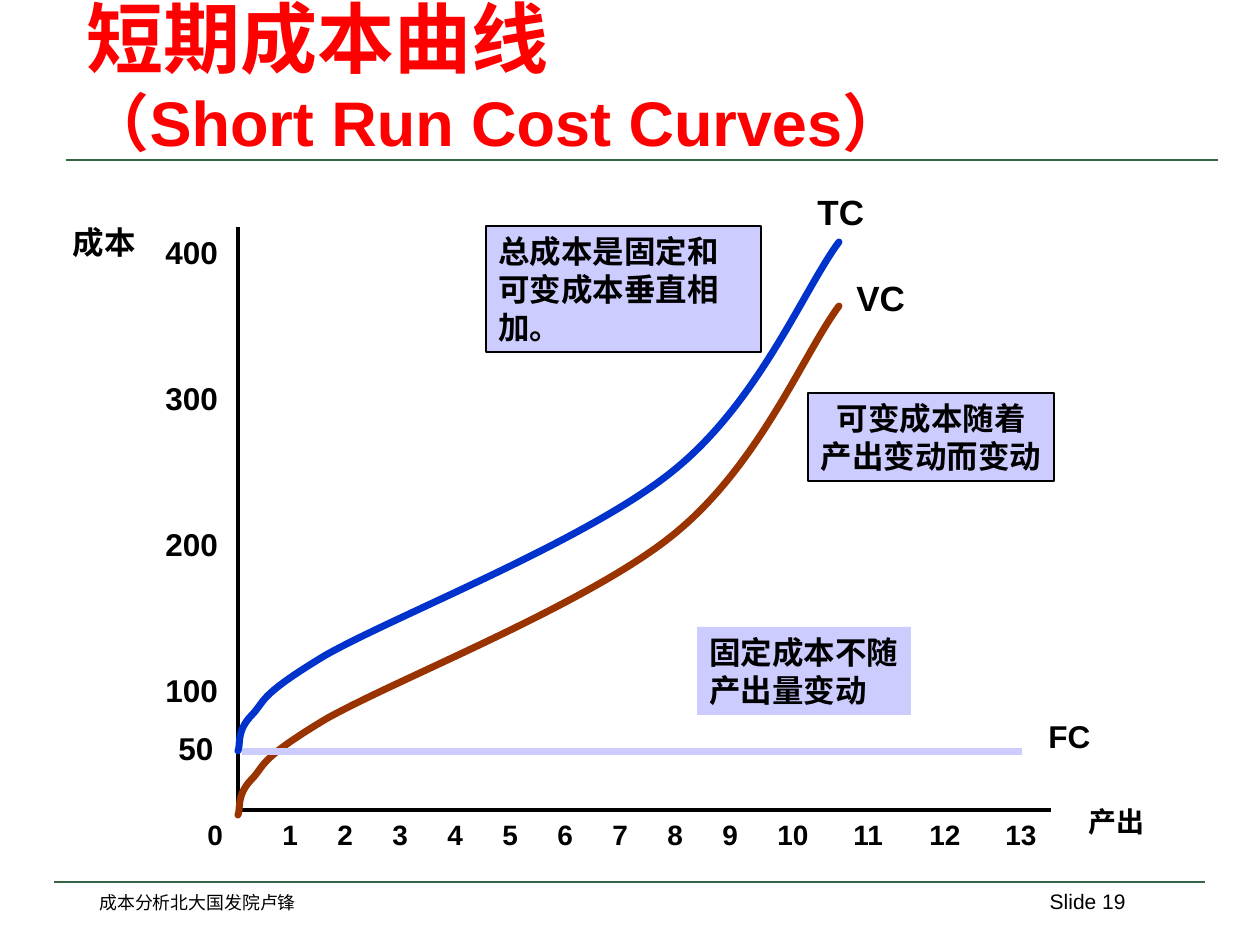
import pptx
import pptx.util
import pptx.dml.color
import pptx.enum.shapes
import pptx.enum.text
import pptx.oxml
import pptx.oxml.ns
from dataclasses import dataclass

PX = 914400 / 126
LEFT = pptx.enum.text.PP_ALIGN.LEFT
CENTER = pptx.enum.text.PP_ALIGN.CENTER
RIGHT = pptx.enum.text.PP_ALIGN.RIGHT


@dataclass
class Theme:
    font: str = "Arial"
    title: str = "FF0000"
    ink: str = "000000"
    rule: str = "376546"
    note: str = "CCCCFF"
    tc: str = "0033CC"
    vc: str = "993300"
    title_cn: int = 44
    title_en: int = 36
    curve_label: int = 20
    body: int = 18
    tick: int = 16
    page: int = 12
    footer: float = 10.2


T = Theme()


def emu(*px):
    return [pptx.util.Emu(round(v * PX)) for v in px]


def rgb(value):
    return pptx.dml.color.RGBColor.from_string(value)


def font(p, size, bold=True, color=T.ink):
    p.font.name = T.font
    p.font.size = pptx.util.Pt(size)
    p.font.bold = bold
    p.font.color.rgb = rgb(color)


def write(sp, lines, size, align=LEFT, wrap=False, bold=True):
    tf = sp.text_frame
    tf.word_wrap = wrap
    tf.auto_size = pptx.enum.text.MSO_AUTO_SIZE.SHAPE_TO_FIT_TEXT
    tf.vertical_anchor = pptx.enum.text.MSO_ANCHOR.TOP
    tf.text = lines
    for p in tf.paragraphs:
        p.alignment = align
        font(p, size, bold)


def label(s, box, text, size, **style):
    write(s.shapes.add_textbox(*emu(*box)), text, size, **style)


def note(s, box, text, outlined=True, **style):
    sp = s.shapes.add_shape(pptx.enum.shapes.MSO_SHAPE.RECTANGLE, *emu(*box))
    sp.shadow.inherit = False
    sp.fill.solid()
    sp.fill.fore_color.rgb = rgb(T.note)
    if outlined:
        sp.line.color.rgb = rgb(T.ink)
        sp.line.width = pptx.util.Pt(1)
    else:
        sp.line.fill.background()
    write(sp, text, T.body, **style)


def line(s, x1, y1, x2, y2, color, width):
    c = s.shapes.add_connector(pptx.enum.shapes.MSO_CONNECTOR.STRAIGHT, *emu(x1, y1, x2, y2))
    c.line.color.rgb = rgb(color)
    c.line.width = pptx.util.Pt(width)
    c._element.spPr.append(pptx.oxml.parse_xml(
        "<a:effectLst %s/>" % pptx.oxml.ns.nsdecls("a")))


def curve(s, x, y, points, color):
    pts = [(x + px, y + py) for px, py in points]
    fb = s.shapes.build_freeform(*pts[0], scale=PX)
    fb.add_line_segments(pts[1:], close=False)
    sp = fb.convert_to_shape()
    sp.shadow.inherit = False
    sp.fill.background()
    sp.line.color.rgb = rgb(color)
    sp.line.width = pptx.util.Pt(4)
    sp._element.spPr.find(pptx.oxml.ns.qn("a:ln")).set("cap", "rnd")
    steps = sp._element.findall(".//" + pptx.oxml.ns.qn("a:lnTo"))
    for i in range(0, len(steps), 3):
        bezier = pptx.oxml.parse_xml("<a:cubicBezTo %s/>" % pptx.oxml.ns.nsdecls("a"))
        steps[i].addprevious(bezier)
        for step in steps[i:i + 3]:
            bezier.append(step[0])
            step.getparent().remove(step)


def header(s, x, y, w, h):
    line(s, x - 8, y + h - 5, x + w + 44, y + h - 5, T.rule, 1.5)
    sp = s.shapes.title
    sp.left, sp.top, sp.width, sp.height = emu(x, y, w, h)
    tf = sp.text_frame
    tf.word_wrap = True
    tf.auto_size = pptx.enum.text.MSO_AUTO_SIZE.NONE
    tf.vertical_anchor = pptx.enum.text.MSO_ANCHOR.BOTTOM
    p = tf.paragraphs[0]
    p.alignment = LEFT
    font(p, T.title_cn, color=T.title)
    p.add_run().text = "短期成本曲线"
    p.add_line_break()
    r = p.add_run()
    r.text = "（Short Run Cost Curves）"
    r.font.size = pptx.util.Pt(T.title_en)


def footer(s, x, y, w):
    line(s, x, y, x + w, y, T.rule, 1.5)
    label(s, (x + 33, y + 3, 776, 34), "成本分析北大国发院卢锋", T.footer, wrap=True, bold=False)
    label(s, (x + 933, y, 151, 63), "Slide 19", T.page, align=RIGHT, wrap=True, bold=False)


def axes(s, x, y, w, h):
    line(s, x, y - h, x, y + 4, T.ink, 2)
    line(s, x, y, x + w, y, T.ink, 2)
    label(s, (x + 838, y - 12, 81, 45), "产出", T.tick)
    label(s, (x - 178, y - 593, 88, 50), "成本", T.body, align=RIGHT)
    label(s, (x - 72, y - 87, 62, 50), "50", T.body)
    for i in range(4):
        label(s, (x - 85, y - 145 - 146 * i, 80, 50), str(100 * (i + 1)), T.body)
    label(s, (x - 43, y + 1, 44, 45), "0", T.tick)
    for n in range(1, 14):
        left, width = (32 + 55 * (n - 1), 44) if n < 10 else (527 + 76 * (n - 10), 64)
        label(s, (x + left, y + 1, width, 45), str(n), T.tick)


def cost_chart(s, x, y, w, h):
    base = y + h
    axes(s, x, base, w, h)
    cost = [(0, 5), (3, -1), (-2, -14), (13, -30), (28, -45), (18, -49), (88, -91),
            (159, -131), (350, -206), (435, -275), (521, -344), (566, -457), (601, -504)]
    curve(s, x, base, cost, T.vc)
    label(s, (x + 606, base - 540, 74, 54), "VC", T.curve_label)
    note(s, (x + 570, base - 417, 246, 88), "可变成本随着\n产出变动而变动", align=CENTER)
    curve(s, x, base - 64, cost, T.tc)
    label(s, (x + 567, base - 626, 72, 54), "TC", T.curve_label)
    note(s, (x + 248, base - 584, 275, 126), "总成本是固定和可变成本垂直相加。", wrap=True)
    line(s, x + 4, base - 58, x + 784, base - 58, T.note, 4)
    label(s, (x + 798, base - 99, 77, 50), "FC", T.body, wrap=True)
    note(s, (x + 459, base - 183, 214, 88), "固定成本不随\n产出量变动", outlined=False)


prs = pptx.Presentation()
prs.slide_width, prs.slide_height = emu(1260, 945)
s = prs.slides.add_slide(prs.slide_layouts[5])
header(s, 74, 58, 1100, 107)
footer(s, 54, 882, 1151)
cost_chart(s, 238, 227, 813, 583)
prs.save("out.pptx")
